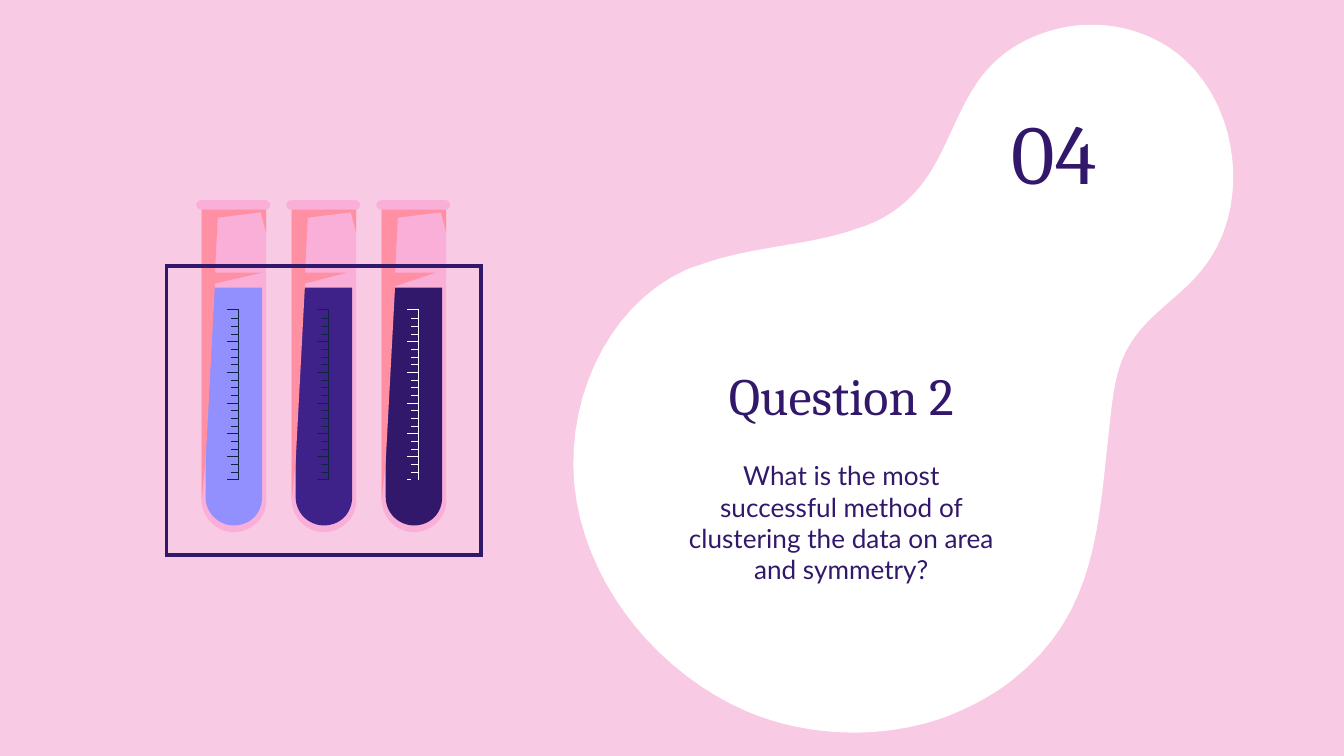
from math import cos, radians, sin

from pptx import Presentation
from pptx.dml.color import RGBColor as RGB
from pptx.enum.shapes import MSO_CONNECTOR as LINK, MSO_SHAPE as FORM
from pptx.enum.text import MSO_ANCHOR as ANCHOR, MSO_AUTO_SIZE as FIT, PP_ALIGN as ALIGN
from pptx.oxml.ns import qn
from pptx.util import Inches, Pt

PINK = RGB(0xF9, 0xCA, 0xE3)
GLASS = RGB(0xF9, 0xAF, 0xD7)
CORAL = RGB(0xFF, 0x8F, 0xA3)
LILAC = RGB(0x92, 0x90, 0xFF)
VIOLET = RGB(0x3E, 0x22, 0x89)
PURPLE = RGB(0x32, 0x18, 0x6B)
NAVY = RGB(0x0E, 0x26, 0x3F)
WHITE = RGB(0xFF, 0xFF, 0xFF)

# Outlines in inches: a pair is a line to a point, six numbers are a Bezier curve
BLOB = [
    (7.02, 5.34), (6.56, 5.5, 6.02, 5.49, 5.55, 5.29),
    (4.93, 5.02, 4.41, 4.42, 4.29, 3.73), (4.17, 3.04, 4.5, 2.28, 5.1, 2.01),
    (5.14, 1.99, 5.18, 1.98, 5.21, 1.97), (5.59, 1.83, 6.02, 1.83, 6.38, 1.7),
    (6.54, 1.65, 6.68, 1.57, 6.8, 1.44), (7.03, 1.2, 7.1, 0.83, 7.31, 0.56),
    (7.43, 0.41, 7.58, 0.31, 7.75, 0.25), (8.1, 0.12, 8.52, 0.18, 8.81, 0.44),
    (9.24, 0.83, 9.3, 1.58, 8.94, 2.01), (8.77, 2.22, 8.52, 2.35, 8.39, 2.59),
    (8.3, 2.75, 8.28, 2.94, 8.26, 3.12), (8.17, 3.9, 8.17, 4.56, 7.53, 5.06),
    (7.38, 5.18, 7.2, 5.27, 7.02, 5.34),
]
TUBE = [(1.5, 1.53), (1.5, 3.69), (1.49, 3.84, 1.6, 3.96, 1.74, 3.96),
        (1.88, 3.96, 2, 3.84, 1.98, 3.69), (1.98, 1.53)]
LIQUID = [(1.53, 2.14), (1.53, 3.7), (1.53, 3.82, 1.63, 3.91, 1.74, 3.91),
          (1.86, 3.91, 1.95, 3.82, 1.95, 3.7), (1.95, 2.14)]
TURN = 160.3
PITCH = 0.67
TICKS = 22
LONG = {3, 7, 11, 15, 18}


def flatten(outline, steps=16):
    """Turn lines and Bezier curves into a list of points."""
    points = []
    for part in outline:
        if len(part) == 2:
            points.append(part)
            continue
        a, b, c, d = points[-1], part[:2], part[2:4], part[4:]
        for n in range(1, steps + 1):
            t = n / steps
            u = 1 - t
            points.append(tuple(
                u**3 * a[k] + 3 * u * u * t * b[k] + 3 * u * t * t * c[k] + t**3 * d[k]
                for k in (0, 1)))
    return points


def rotate(points, angle):
    """Turn points clockwise around the origin."""
    co, si = cos(radians(angle)), sin(radians(angle))
    return [(x * co - y * si, x * si + y * co) for x, y in points]


def center(points):
    return tuple((min(axis) + max(axis)) / 2 for axis in zip(*points))


def write(shape, text, font="Cambria", size=14, color=PURPLE,
          align=ALIGN.CENTER, anchor=ANCHOR.TOP):
    frame = shape.text_frame
    frame.word_wrap = True
    frame.auto_size = FIT.NONE
    frame.vertical_anchor = anchor
    frame.margin_left = frame.margin_right = Inches(0.1)
    frame.margin_top = frame.margin_bottom = Inches(0.1)
    par = frame.paragraphs[0]
    par.alignment = align
    run = par.add_run()
    run.text = text
    run.font.name, run.font.size = font, Pt(size)
    run.font.color.rgb = color


class Artist:
    def __init__(self, slide):
        self.shapes = slide.shapes

    def paint(self, shape, fill=None, line=None, width=0.32):
        shape.shadow.inherit = False
        if fill is None:
            shape.fill.background()
        else:
            shape.fill.solid()
            shape.fill.fore_color.rgb = fill
        if line is None:
            shape.line.fill.background()
        else:
            shape.line.color.rgb = line
            shape.line.width = Pt(width)
            edge = shape._element.spPr.find(qn("a:ln"))
            edge.append(edge.makeelement(qn("a:miter"), {"lim": "800000"}))
        return shape

    def form(self, kind, box, **style):
        shape = self.shapes.add_shape(kind, *map(Inches, box))
        return self.paint(shape, **style)

    def outline(self, points, dx=0, close=True, **style):
        spots = [(Inches(x + dx), Inches(y)) for x, y in points]
        maker = self.shapes.build_freeform(*spots[0], scale=1.0)
        maker.add_line_segments(spots[1:], close=close)
        return self.paint(maker.convert_to_shape(), **style)

    def turned(self, points, angle, **style):
        """Draw points as a shape with its own rotation."""
        flat = rotate(points, -angle)
        mid = center(flat)
        x, y = rotate([mid], angle)[0]
        moved = [(a - mid[0] + x, b - mid[1] + y) for a, b in flat]
        shape = self.outline(moved, **style)
        shape.rotation = angle
        return shape

    def line(self, x1, y1, x2, y2, color, width=0.32):
        link = self.shapes.add_connector(LINK.STRAIGHT, *map(Inches, (x1, y1, x2, y2)))
        link.line.color.rgb = color
        link.line.width = Pt(width)
        props = link._element.spPr
        props.append(props.makeelement(qn("a:effectLst"), {}))

    def title(self, box, text, **style):
        shape = self.shapes.title
        shape.left, shape.top, shape.width, shape.height = map(Inches, box)
        write(shape, text, **style)
        return shape

    def text(self, box, text, **style):
        write(self.shapes.add_textbox(*map(Inches, box)), text, **style)

    def tube(self, dx, liquid, ink, tip, fold):
        # Rim with round ends, then glass, liquid and glare
        self.form(FORM.RECTANGLE, (1.5 + dx, 1.49, 0.48, 0.07), fill=GLASS)
        for x in (1.94, 1.46):
            self.form(FORM.OVAL, (x + dx, 1.49, 0.07, 0.07), fill=GLASS)
        self.outline(flatten(TUBE), dx, fill=GLASS)
        self.outline(flatten(LIQUID), dx, fill=liquid)
        glare = [(1.5, 1.56), (1.5, 3.72), (1.53, 3.43), (1.6, fold), (tip, 2.03),
                 (1.6, 2.03), (1.62, 1.62), (1.94, 1.58), (1.98, 1.73), (1.98, 1.56)]
        self.outline(glare, dx, fill=CORAL)

        # Scale: the lowest tick is always navy
        rail = [(1.69, 3.57), (1.77, 3.57), (1.77, 2.3), (1.69, 2.3)]
        self.outline(rail, dx, close=False, line=ink)
        for n in range(TICKS):
            y = 2.37 + n * 1.2 / (TICKS - 1)
            start = 1.69 if n in LONG else 1.72
            self.line(1.77 + dx, y, start + dx, y, NAVY if n == TICKS - 1 else ink)


def main():
    deck = Presentation()
    deck.slide_width = Inches(10)
    deck.slide_height = deck.slide_width * 9 // 16
    slide = deck.slides.add_slide(deck.slide_layouts[5])
    slide.background.fill.solid()
    slide.background.fill.fore_color.rgb = PINK
    art = Artist(slide)

    # White blob, behind the title
    blob = art.turned(flatten(BLOB), TURN, fill=WHITE)
    title = art.title((4.97, 2.6, 2.58, 0.62), "Question 2", size=28)
    title.element.addprevious(blob.element)

    # Question and number
    art.text((4.97, 3.32, 2.58, 1.02),
             "What is the most successful method of clustering the data on area and symmetry?",
             font="Lato")
    art.text((7.43, 1.09, 1.32, 0.51), "04", size=45, align=ALIGN.LEFT, anchor=ANCHOR.BOTTOM)

    # Test tubes in their rack
    tubes = [(LILAC, NAVY, 1.95, 2.11), (VIOLET, NAVY, 1.91, 2.11), (PURPLE, WHITE, 1.9, 2.13)]
    for n, look in enumerate(tubes):
        art.tube(n * PITCH, *look)
    art.form(FORM.RECTANGLE, (1.24, 1.98, 2.34, 2.15), line=PURPLE, width=1.87)

    deck.save("out.pptx")


if __name__ == "__main__":
    main()
